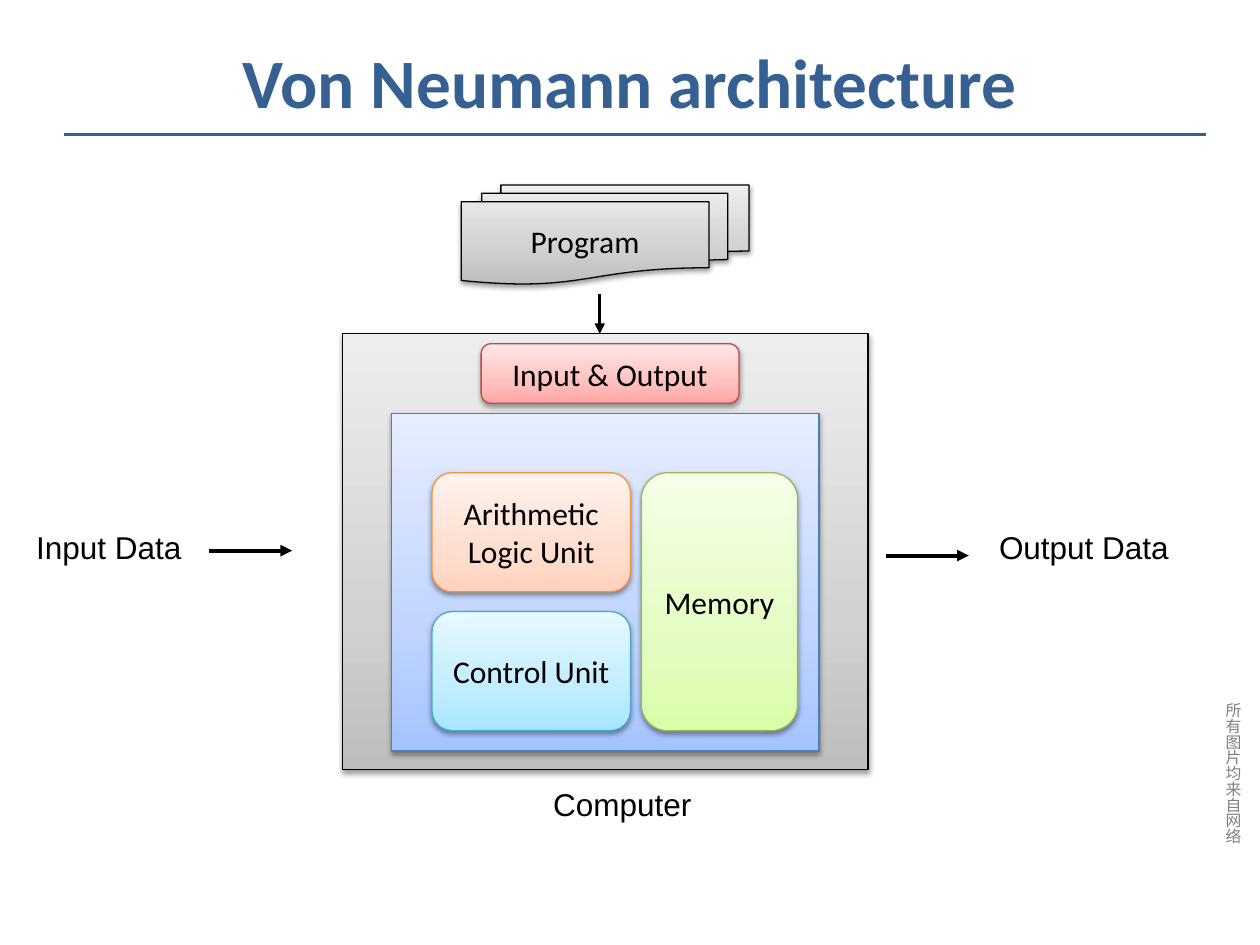
import pptx
import pptx.dml.color
import pptx.enum.shapes
import pptx.enum.text
import pptx.oxml
import pptx.oxml.ns
import pptx.util
from pptx.util import Cm


def rgb(value):
    return pptx.dml.color.RGBColor.from_string(value)


def write(s, text, font, size, color, align, bold=False):
    tf = s.text_frame
    tf.word_wrap = True
    p = tf.paragraphs[0]
    p.alignment = align
    r = p.add_run()
    r.text = text
    r.font.name = font
    r.font.size = pptx.util.Pt(size)
    r.font.bold = bold
    r.font.color.rgb = rgb(color)


MSO = pptx.enum.shapes.MSO_SHAPE
LEFT = pptx.enum.text.PP_ALIGN.LEFT
CENTER = pptx.enum.text.PP_ALIGN.CENTER
MIDDLE = pptx.enum.text.MSO_ANCHOR.MIDDLE
NS = pptx.oxml.ns.nsdecls("a")
SHADOW = (
    f'<a:outerShdw {NS} blurRad="39370" dist="20320" dir="5400000" rotWithShape="0">'
    '<a:srgbClr val="000000"><a:alpha val="38000"/></a:srgbClr></a:outerShdw>'
)

prs = pptx.Presentation()
prs.slide_width = Cm(25.4)
prs.slide_height = Cm(19.05)
slide = prs.slides.add_slide(prs.slide_layouts[6])

s = slide.shapes.add_textbox(Cm(24.28), Cm(13.92), Cm(0.89), Cm(3.4))
s.element.txBody.bodyPr.set("vert", "eaVert")
write(s, "所有图片均来自网络", "Arial", 9, "808080", LEFT)

s = slide.shapes.add_textbox(Cm(1.27), Cm(0.76), Cm(22.86), Cm(1.75))
s.text_frame.vertical_anchor = MIDDLE
write(s, "Von Neumann architecture", "Calibri", 39.6, "376092", CENTER, True)

gray = ("BDBDBD", "D1D1D1", "EEEEEE")
blue = ("A4C4FF", "BFD4FF", "E6EEFF")
orange = ("FFD2BD", "FFDED0", "FFF2ED")
cyan = ("A7E6FF", "C1EDFF", "E7F8FF")
green = ("DAFDA7", "E4FCC2", "F5FFE7")
red = ("FFA6A5", "FFC0BF", "FFE7E7")
boxes = [
    ("", MSO.RECTANGLE, 6.91, 6.73, 10.59, 8.79, gray, "000000"),
    ("", MSO.RECTANGLE, 7.9, 8.33, 8.61, 6.81, blue, "4B7EBC"),
    ("Arithmetic Logic Unit", MSO.ROUNDED_RECTANGLE, 8.71, 9.53, 4, 2.4, orange, "F69240"),
    ("Control Unit", MSO.ROUNDED_RECTANGLE, 8.71, 12.33, 4, 2.4, cyan, "46AAC5"),
    ("Memory", MSO.ROUNDED_RECTANGLE, 12.93, 9.53, 3.15, 5.2, green, "98B955"),
    ("Program", MSO.FLOWCHART_MULTIDOCUMENT, 9.3, 3.73, 5.8, 2, gray, "000000"),
    ("Input & Output", MSO.ROUNDED_RECTANGLE, 9.7, 6.93, 5.2, 1.2, red, "BF4C48"),
]
for text, kind, x, y, w, h, shades, edge in boxes:
    s = slide.shapes.add_shape(kind, Cm(x), Cm(y), Cm(w), Cm(h))
    s.shadow.inherit = False
    effects = s.element.spPr.find(pptx.oxml.ns.qn("a:effectLst"))
    effects.append(pptx.oxml.parse_xml(SHADOW))
    s.fill.gradient()
    s.fill.gradient_angle = 90
    stops = s.element.spPr.find(".//" + pptx.oxml.ns.qn("a:gsLst"))
    for stop in list(stops):
        stops.remove(stop)
    for pos, shade in zip((0, 35, 100), shades):
        stops.append(pptx.oxml.parse_xml(
            f'<a:gs {NS} pos="{pos * 1000}"><a:srgbClr val="{shade}"/></a:gs>'))
    s.line.color.rgb = rgb(edge)
    s.line.width = pptx.util.Pt(0.75)
    if text:
        s.text_frame.vertical_anchor = MIDDLE
        write(s, text, "Calibri", 18, "000000", CENTER)

labels = [("Input Data", 0.48, 10.52), ("Output Data", 19.89, 10.52), ("Computer", 10.9, 15.7)]
for text, x, y in labels:
    s = slide.shapes.add_textbox(Cm(x), Cm(y), Cm(4.6), Cm(1.02))
    write(s, text, "Arial", 18, "000000", LEFT)

lines = [
    (1.3, 2.72, 24.31, 2.72, "376092", 1.75, False),
    (4.22, 11.1, 5.89, 11.1, "000000", 2.25, True),
    (12.09, 5.92, 12.09, 6.73, "000000", 1.75, True),
    (17.86, 11.2, 19.53, 11.2, "000000", 2.25, True),
]
for x1, y1, x2, y2, color, width, arrow in lines:
    s = slide.shapes.add_connector(
        pptx.enum.shapes.MSO_CONNECTOR.STRAIGHT, Cm(x1), Cm(y1), Cm(x2), Cm(y2))
    s.line.color.rgb = rgb(color)
    s.line.width = pptx.util.Pt(width)
    if arrow:
        ln = s.element.spPr.find(pptx.oxml.ns.qn("a:ln"))
        ln.append(pptx.oxml.parse_xml(f'<a:tailEnd {NS} type="triangle"/>'))
    s.element.spPr.append(pptx.oxml.parse_xml(f"<a:effectLst {NS}/>"))

prs.save("out.pptx")
